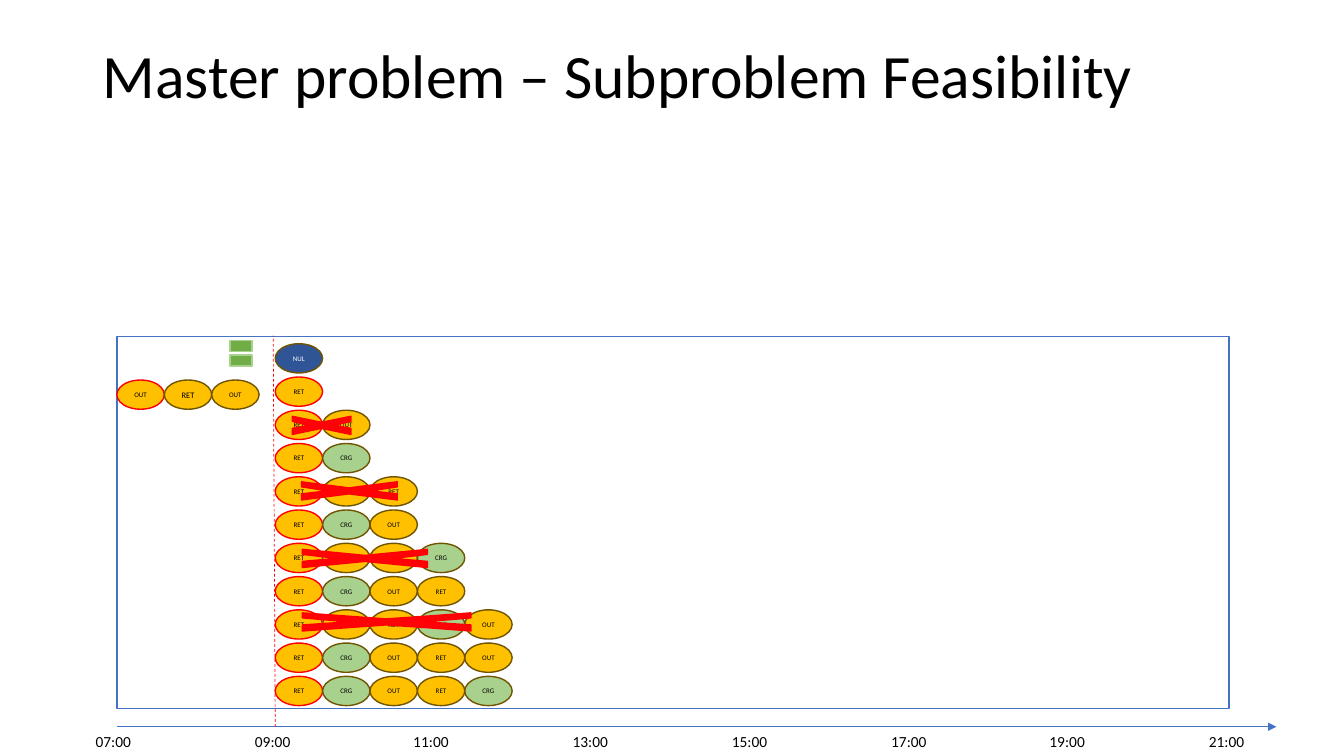
from lxml import etree
from pptx import Presentation
from pptx.dml.color import RGBColor
from pptx.enum.dml import MSO_LINE
from pptx.enum.shapes import MSO_CONNECTOR, MSO_SHAPE
from pptx.enum.text import MSO_ANCHOR, PP_ALIGN
from pptx.oxml.ns import qn
from pptx.util import Pt

PX = 9144
FONT = "Calibri"
ELLIPSE, PROCESS = MSO_SHAPE.OVAL, MSO_SHAPE.FLOWCHART_PROCESS
STRAIGHT, DASH = MSO_CONNECTOR.STRAIGHT, MSO_LINE.DASH
TOP, MIDDLE = MSO_ANCHOR.TOP, MSO_ANCHOR.MIDDLE
LEFT, CENTER = PP_ALIGN.LEFT, PP_ALIGN.CENTER

BLACK = RGBColor(0, 0, 0)
WHITE = RGBColor(255, 255, 255)
BLUE = RGBColor(0x44, 0x72, 0xC4)
NAVY = RGBColor(0x2F, 0x55, 0x97)
AMBER = RGBColor(0xFF, 0xC0, 0x00)
BROWN = RGBColor(0x70, 0x54, 0x00)
GREEN = RGBColor(0x70, 0xAD, 0x47)
PALE_GREEN = RGBColor(0xA9, 0xD1, 0x8E)
RED = RGBColor(0xFF, 0, 0)
STRIKE_RED = RGBColor(0xFF, 0x02, 0x08)

TASK_FILLS = {"NUL": NAVY, "RET": AMBER, "OUT": AMBER, "CRG": PALE_GREEN}
SEQUENCES = [
    "NUL",
    "RET",
    "RET OUT",
    "RET CRG",
    "RET OUT RET",
    "RET CRG OUT",
    "RET OUT RET CRG",
    "RET CRG OUT RET",
    "RET OUT RET CRG OUT",
    "RET CRG OUT RET OUT",
    "RET CRG OUT RET CRG",
]
STRIKES = [
    (290, 348, 413, 16, [(319, 6)]),
    (299, 394, 478, 26, [(346, 6)]),
    (300, 424, 545, 34, [(362, 6)]),
    (300, 467, 608, 46, [(341, 3), (383, 6), (427, 3)]),
]


def scaled(*lengths):
    """Turn px lengths into EMU."""
    return [length * PX for length in lengths]


def write_text(shape, text, *, size, color=BLACK, align=LEFT, anchor=TOP,
               wrap=False, spacing=None, margins=(10, 5)):
    """Set the text of a shape and its format."""
    frame = shape.text_frame
    frame.word_wrap = wrap
    frame.vertical_anchor = anchor
    frame.margin_left = frame.margin_right = margins[0] * PX
    frame.margin_top = frame.margin_bottom = margins[1] * PX
    paragraph = frame.paragraphs[0]
    paragraph.text = text
    paragraph.alignment = align
    paragraph.line_spacing = spacing
    font = paragraph.runs[0].font
    font.name, font.size = FONT, Pt(size)
    font.color.rgb = color


def style(shape, fill, line):
    """Give a shape its fill and outline without a shadow."""
    shape.shadow.inherit = False
    if fill is None:
        shape.fill.background()
    else:
        shape.fill.solid()
        shape.fill.fore_color.rgb = fill
    shape.line.color.rgb = line
    shape.line.width = Pt(1)


def add_label(slide, text, box, **text_format):
    """Add a text box."""
    write_text(slide.shapes.add_textbox(*scaled(*box)), text, **text_format)


def add_process(slide, box, fill, line):
    """Add a process rectangle."""
    style(slide.shapes.add_shape(PROCESS, *scaled(*box)), fill, line)


def add_task(slide, name, left, top, first=False, size=5):
    """Add one task ellipse; the first of a sequence is outlined in red."""
    shape = slide.shapes.add_shape(ELLIPSE, *scaled(left, top, 47, 29))
    outline = RED if first and name != "NUL" else BROWN
    style(shape, TASK_FILLS[name], outline)
    write_text(shape, name, size=size, color=WHITE if name == "NUL" else BLACK,
               align=CENTER, anchor=MIDDLE, margins=(0, 0))


def add_line(slide, ends, color, width, dash=None, arrow=False):
    """Add a straight line, dashed or with an arrowhead if asked."""
    connector = slide.shapes.add_connector(STRAIGHT, *scaled(*ends))
    line = connector.line
    line.color.rgb = color
    line.width = Pt(width)
    if dash is not None:
        line.dash_style = dash
    properties = connector._element.spPr
    if arrow:
        outline = properties.find(qn("a:ln"))
        etree.SubElement(outline, qn("a:tailEnd"), type="triangle")
    etree.SubElement(properties, qn("a:effectLst"))


def add_strike(slide, left, right, top, notch, waists):
    """Cross out a sequence with two strokes that meet at the waists."""
    upper = [(x, top + depth) for x, depth in waists]
    lower = [(x, top + 18 - depth) for x, depth in reversed(waists)]
    points = [
        (left, top), *upper, (right, top), (right, top + 5),
        (right - notch, top + 9), (right, top + 12), (right, top + 18),
        *lower, (left, top + 18), (left, top + 12),
        (left + notch, top + 9), (left, top + 5),
    ]
    builder = slide.shapes.build_freeform(*points[0], scale=PX)
    builder.add_line_segments(points[1:], close=True)
    style(builder.convert_to_shape(), STRIKE_RED, RED)


def main():
    """Build the slide and save it."""
    presentation = Presentation()
    presentation.slide_width, presentation.slide_height = scaled(1333, 750)
    slide = presentation.slides.add_slide(presentation.slide_layouts[6])

    add_process(slide, (116, 334, 1103, 369), None, BLUE)
    add_line(slide, (116, 721, 1266, 721), BLUE, 1, arrow=True)
    for index, hour in enumerate(range(7, 22, 2)):
        left = 85 + round(index * 1104 / 7)
        add_label(slide, f"{hour:02}:00", (left, 721, 61, 29), size=11)
    add_label(slide, "Master problem – Subproblem Feasibility",
              (92, 40, 1150, 145), size=44, wrap=True, spacing=0.9)

    for column, (name, size) in enumerate([("OUT", 5), ("RET", 6), ("OUT", 5)]):
        add_task(slide, name, 116 + 47 * column, 377, column == 0, size)
    add_line(slide, (273, 721, 271, 333), RED, 0.5, dash=DASH)
    for row, sequence in enumerate(SEQUENCES):
        for column, name in enumerate(sequence.split()):
            add_task(slide, name, 273 + 47 * column, 341 + 33 * row, column == 0)
    for strike in STRIKES:
        add_strike(slide, *strike)
    for top in (338, 352):
        add_process(slide, (228, top, 22, 11), GREEN, PALE_GREEN)

    presentation.save("out.pptx")


if __name__ == "__main__":
    main()
